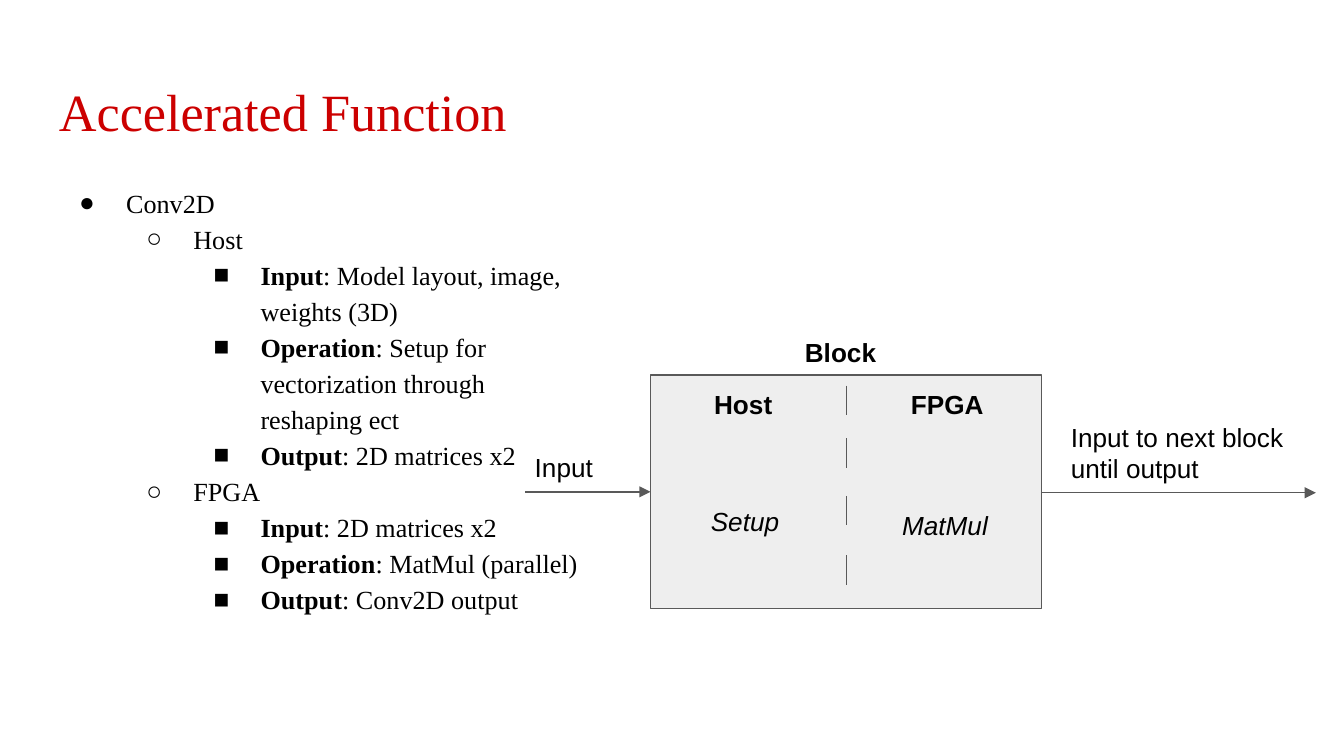
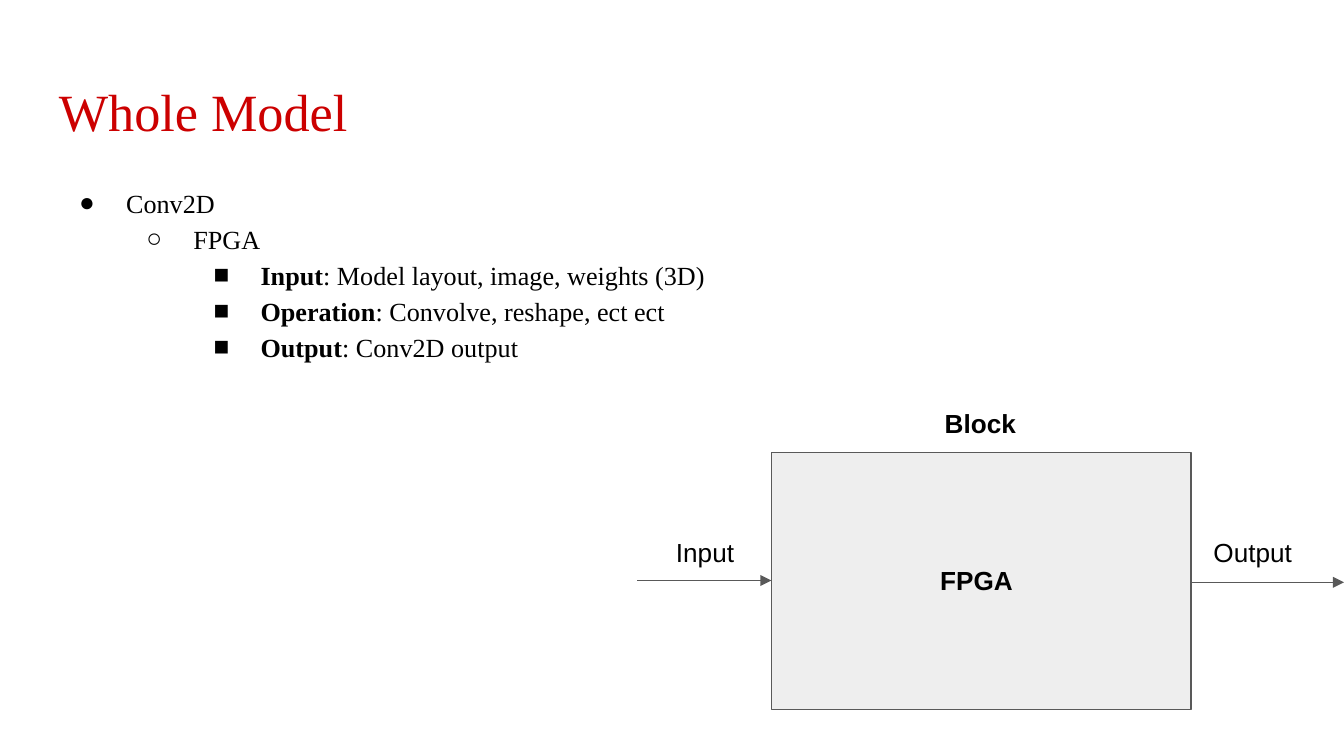
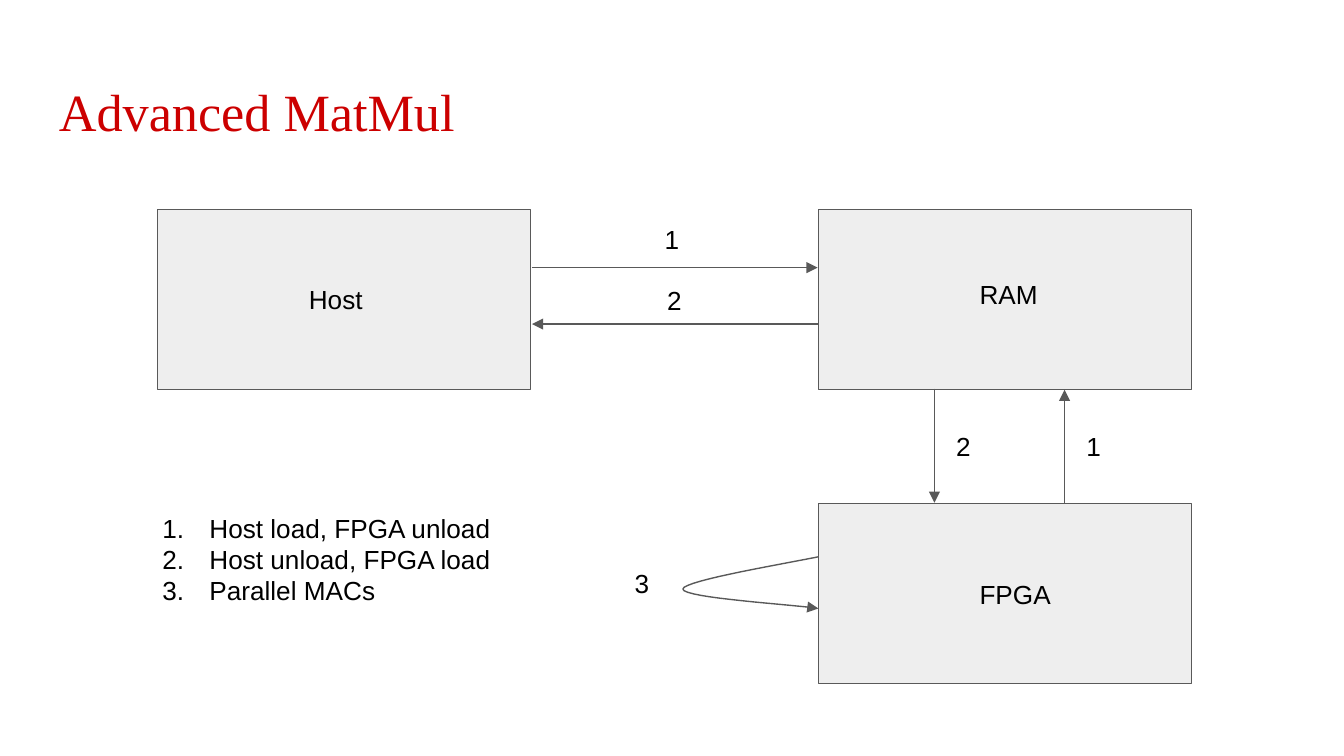
"""Build three slides on accelerating Conv2D and MatMul with an FPGA."""
import pptx
import pptx.dml.color
import pptx.enum.shapes
import pptx.enum.text
import pptx.oxml
import pptx.oxml.ns
import pptx.util

Pt = pptx.util.Pt
qn = pptx.oxml.ns.qn
RGB = pptx.dml.color.RGBColor
ALIGN = pptx.enum.text.PP_ALIGN
ANCHOR = pptx.enum.text.MSO_ANCHOR
FIT = pptx.enum.text.MSO_AUTO_SIZE


class Theme:
    serif, sans = "Times New Roman", "Arial"
    title_size, text_size = 28, 14
    red, black = RGB(0xCC, 0, 0), RGB(0, 0, 0)
    panel, stroke = RGB(0xEE, 0xEE, 0xEE), RGB(0x59, 0x59, 0x59)
    stroke_width = 0.75
    inset = 7.2
    label_height = 31.5
    bullets = "●○■"
    indent, hanging = 36, 25.2


def write(slide, frame, paragraphs, font=Theme.sans, size=Theme.text_size, color=Theme.black,
          align=ALIGN.LEFT, anchor=ANCHOR.TOP, fit=FIT.NONE, spacing=None, bullet=None):
    """Add a text box; each paragraph is a level and its (text, style) runs."""
    text = slide.shapes.add_textbox(*map(Pt, frame)).text_frame
    text.word_wrap, text.auto_size, text.vertical_anchor = True, fit, anchor
    text.margin_left = text.margin_right = text.margin_top = text.margin_bottom = Pt(Theme.inset)
    for number, (level, runs) in enumerate(paragraphs):
        paragraph = text.add_paragraph() if number else text.paragraphs[0]
        paragraph.alignment, paragraph.level = align, level
        if spacing:
            paragraph.line_spacing = spacing
        if bullet:
            properties = paragraph._p.get_or_add_pPr()
            properties.set("marL", str(Pt(Theme.indent * (level + 1))))
            properties.set("indent", str(Pt(-Theme.hanging)))
            tint = properties.makeelement(qn("a:buClr"), {})
            tint.append(tint.makeelement(qn("a:srgbClr"), {"val": str(color)}))
            properties.append(tint)
            properties.append(properties.makeelement(qn("a:buFont"), {"typeface": font}))
            if bullet == "number":
                mark = properties.makeelement(qn("a:buAutoNum"), {"type": "arabicPeriod"})
            else:
                mark = properties.makeelement(qn("a:buChar"), {"char": bullet[level]})
            properties.append(mark)
        for words, style in runs:
            run = paragraph.add_run()
            run.text = words
            run.font.name, run.font.size, run.font.color.rgb = font, Pt(size), color
            run.font.bold, run.font.italic = style == "bold", style == "italic"


def outline(shape, arrow):
    """Give a box, line or curve the shared stroke, with an arrowhead at its end if asked."""
    shape.line.color.rgb, shape.line.width = Theme.stroke, Pt(Theme.stroke_width)
    if arrow:
        stroke = shape.line._get_or_add_ln()
        stroke.append(stroke.makeelement(qn("a:tailEnd"), {"type": "triangle"}))
    properties = shape._element.spPr
    if properties.find(qn("a:effectLst")) is None:
        properties.append(properties.makeelement(qn("a:effectLst"), {}))


topics = [
    {
        "title": "Accelerated Function",
        "body_size": (295.9, 272),
        "outline": [
            (0, "", "Conv2D"),
            (1, "", "Host"),
            (2, "Input", ": Model layout, image, weights (3D)"),
            (2, "Operation", ": Setup for vectorization through reshaping ect"),
            (2, "Output", ": 2D matrices x2"),
            (1, "", "FPGA"),
            (2, "Input", ": 2D matrices x2"),
            (2, "Operation", ": MatMul (parallel)"),
            (2, "Output", ": Conv2D output"),
        ],
        "blocks": [(348.5, 200.9, 209.5, 125.3)],
        "arrows": [(281.5, 263.5, 348.5, 263.5), (558, 264, 704.9, 264)],
        "dividers": [(453.6, top, 453.6, top + 15.8) for top in (206.6, 234.7, 265.7, 297.4)],
        "labels": [
            ("Input", 279.4, 234.7, 50.4, ""),
            ("Host", 375.5, 200.9, 50.4, "bold"),
            ("FPGA", 480.9, 200.9, 54, "bold"),
            ("Setup", 373.7, 263.5, 59, "italic"),
            ("MatMul", 476.2, 265.7, 67.7, "italic"),
            ("Block", 424.1, 172.8, 59, "bold"),
            ("Input to next block until output", 566.6, 218.5, 153.4, ""),
        ],
    },
    {
        "title": "Whole Model",
        "body_size": (360.7, 241.2),
        "outline": [
            (0, "", "Conv2D"),
            (1, "", "FPGA"),
            (2, "Input", ": Model layout, image, weights (3D)"),
            (2, "Operation", ": Convolve, reshape, ect ect"),
            (2, "Output", ": Conv2D output"),
        ],
        "blocks": [(413.5, 242.5, 224.5, 137.5)],
        "arrows": [(341.3, 311, 413.3, 311), (638, 312, 720, 312)],
        "labels": [
            ("Input", 355, 280.1, 49.7, ""),
            ("FPGA", 496.6, 295.2, 57.6, "bold"),
            ("Block", 499, 211, 53.5, "bold"),
            ("Output", 643, 280.1, 57.6, ""),
        ],
    },
    {
        "title": "Advanced MatMul",
        "blocks": [(left, top, 200, 96.5) for left, top in ((84.3, 112.2), (438.4, 112.2), (438.4, 269.8))],
        "arrows": [
            (285, 143.4, 438, 143.4),
            (438, 173.6, 285, 173.6),
            (500.6, 208.2, 500.6, 269.3),
            (570.3, 269.8, 570.3, 208.8),
        ],
        "labels": [
            ("Host", 158.4, 144.7, 52.6, ""),
            ("RAM", 517.7, 141.8, 52.6, ""),
            ("FPGA", 517.7, 302.4, 59.8, ""),
        ],
        "step_marks": [
            ("1", 344.2, 112.4),
            ("2", 345.6, 144.8),
            ("1", 570.2, 223.2),
            ("2", 500.4, 223.2),
            ("3", 328.2, 296.8),
        ],
        "steps": ["Host load, FPGA unload", "Host unload, FPGA load", "Parallel MACs"],
        "loop": [
            ((438.4, 298.3), (426.2, 301), (365.8, 311), (365.8, 315.6)),
            ((365.8, 315.6), (365.8, 320.4), (426.2, 324), (438.4, 326)),
        ],
    },
]

deck = pptx.Presentation()
deck.slide_width, deck.slide_height = Pt(720), Pt(405)

for topic in topics:
    slide = deck.slides.add_slide(deck.slide_layouts[6])
    write(slide, (24.5, 35.3, 671, 45.4), [(0, [(topic["title"], "")])],
          font=Theme.serif, size=Theme.title_size, color=Theme.red)

    if "outline" in topic:
        points = [(level, [run for run in ((term, "bold"), (detail, "")) if run[0]])
                  for level, term, detail in topic["outline"]]
        write(slide, (24.5, 90.7, *topic["body_size"]), points,
              font=Theme.serif, spacing=1.15, bullet=Theme.bullets)

    for frame in topic["blocks"]:
        block = slide.shapes.add_shape(pptx.enum.shapes.MSO_SHAPE.RECTANGLE, *map(Pt, frame))
        block.shadow.inherit = False
        block.fill.solid()
        block.fill.fore_color.rgb = Theme.panel
        outline(block, arrow=False)

    for kind in ("arrows", "dividers"):
        for ends in topic.get(kind, []):
            line = slide.shapes.add_connector(pptx.enum.shapes.MSO_CONNECTOR.STRAIGHT, *map(Pt, ends))
            outline(line, arrow=kind == "arrows")

    for words, left, top, width, style in topic["labels"]:
        write(slide, (left, top, width, Theme.label_height), [(0, [(words, style)])],
              fit=FIT.SHAPE_TO_FIT_TEXT)

    for digit, left, top in topic.get("step_marks", []):
        write(slide, (left, top, Theme.label_height, Theme.label_height), [(0, [(digit, "")])],
              align=ALIGN.CENTER, anchor=ANCHOR.MIDDLE)

    if "steps" in topic:
        write(slide, (69.1, 267.1, 230.4, 65.5), [(0, [(step, "")]) for step in topic["steps"]],
              fit=FIT.SHAPE_TO_FIT_TEXT, bullet="number")

    if "loop" in topic:
        curve = []
        for a, b, c, d in topic["loop"]:
            for t in (step / 16 for step in range(17)):
                weights = ((1 - t) ** 3, 3 * t * (1 - t) ** 2, 3 * t ** 2 * (1 - t), t ** 3)
                curve.append(tuple(Pt(sum(w * point[axis] for w, point in zip(weights, (a, b, c, d))))
                                   for axis in (0, 1)))
        builder = slide.shapes.build_freeform(*curve[0])
        builder.add_line_segments(curve[1:], close=False)
        loop = builder.convert_to_shape()
        loop.shadow.inherit = False
        loop.fill.background()
        outline(loop, arrow=True)

deck.save("out.pptx")
